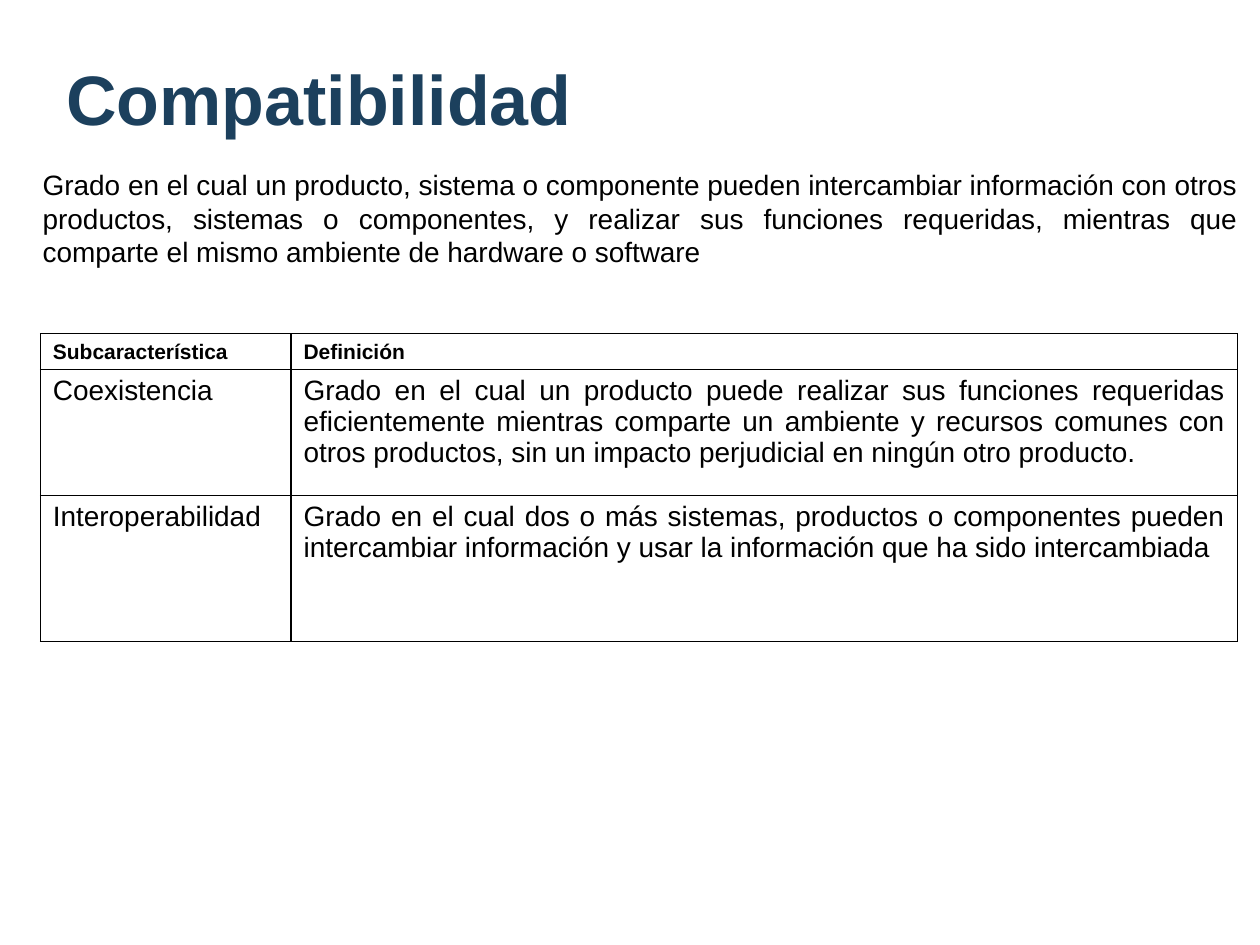
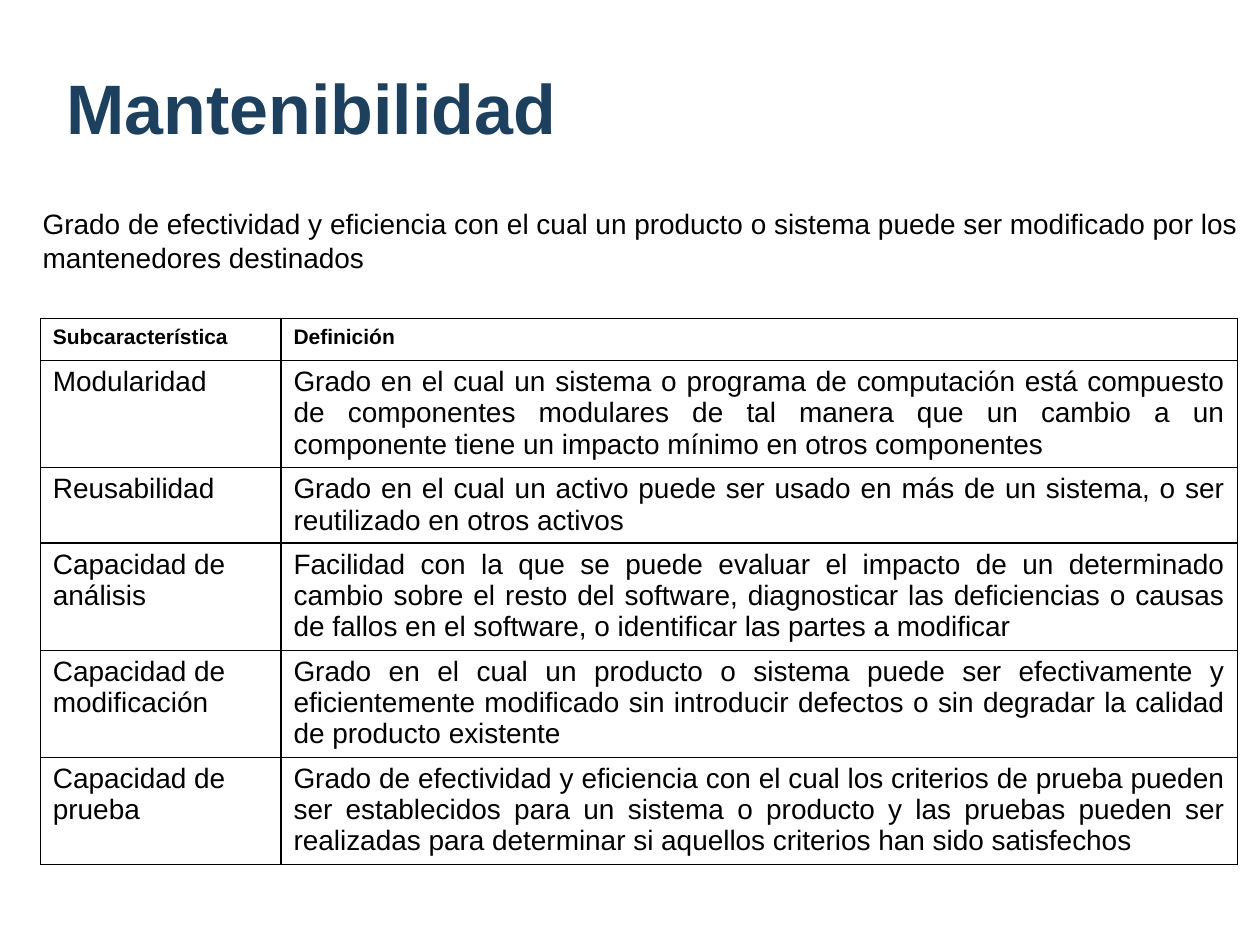
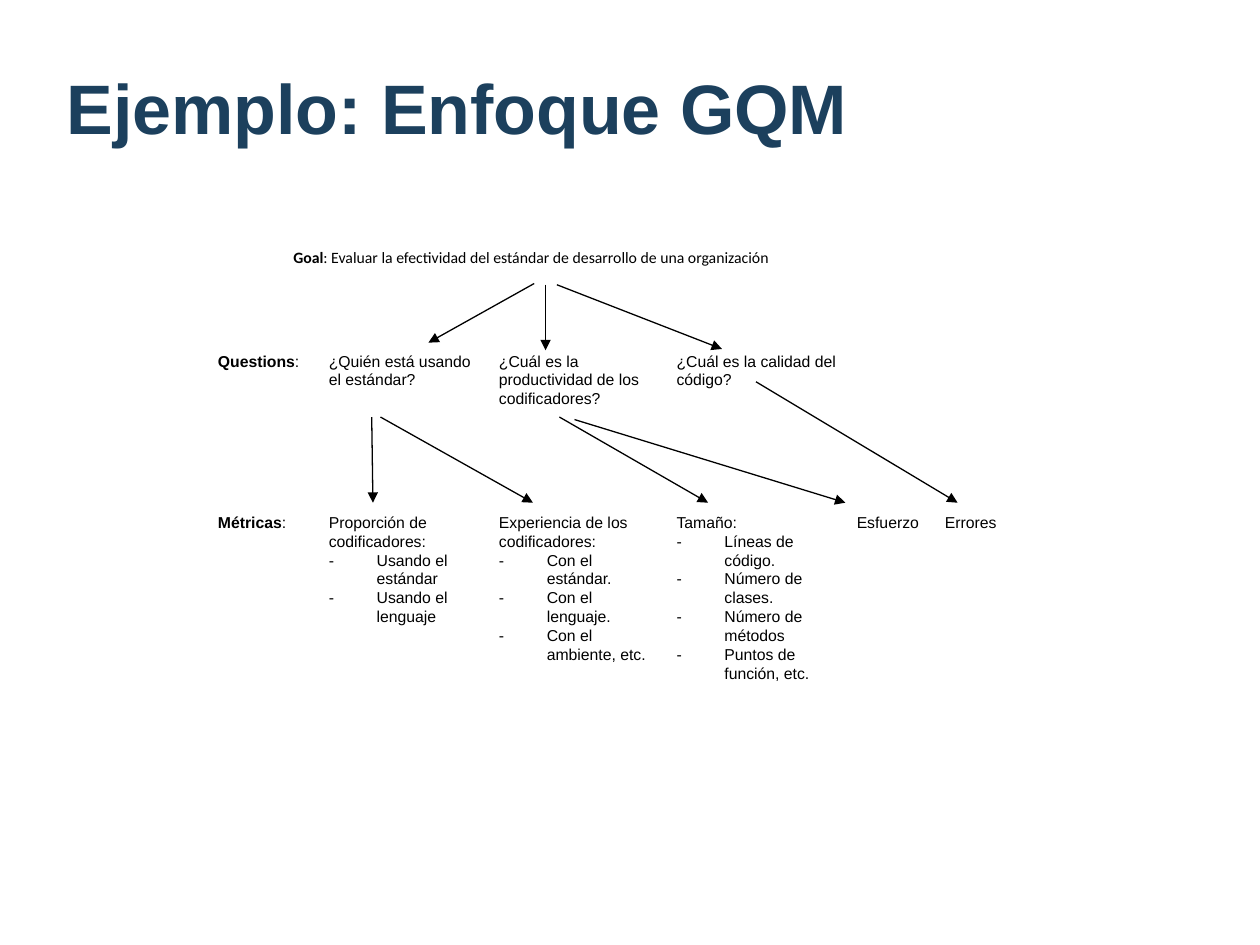
from typing import Any, NamedTuple, Optional

from lxml import etree
from pptx import Presentation
from pptx.dml.color import RGBColor
from pptx.enum import shapes, text
from pptx.oxml import ns
from pptx.util import Inches, Pt

BLACK = "000000"
NAVY = "1C405D"
LEFT = text.PP_ALIGN.LEFT
JUSTIFY = text.PP_ALIGN.JUSTIFY
TOP = text.MSO_ANCHOR.TOP


class Style(NamedTuple):
    size: float
    bold: bool = False
    font: str = "Arial"
    color: str = BLACK
    align: Any = LEFT
    spacing: float = 1.0


TITLE = Style(40, bold=True, color=NAVY)
BODY = Style(16, align=JUSTIFY)
HEADER = Style(12, bold=True)
TERM = Style(16)
GOAL = Style(9, font="Calibri")
GQM = Style(9, spacing=1.07)


class Para(NamedTuple):
    body: str
    lead: str = ""
    bullet: bool = False


class Box(NamedTuple):
    x: float
    y: float
    w: float
    h: float


class Margins(NamedTuple):
    x: float
    top: float
    bottom: float


class Arrow(NamedTuple):
    x1: float
    y1: float
    x2: float
    y2: float


class Characteristic(NamedTuple):
    title: str
    title_height: float
    intro: str
    intro_box: Box
    table_top: float
    term_width: float
    row_heights: list[float]
    definitions: list[tuple[str, str]]


TEXT_MARGINS = Margins(0.1, 0.05, 0.05)
TITLE_MARGINS = Margins(0.1, 0.1, 0.1)
CELL_MARGINS = Margins(0.1, 0.05, 0)
GQM_MARGINS = Margins(0.08, 0, 0)
TABLE_LEFT = 0.32
TABLE_WIDTH = 9.5


def rgb(color: str) -> RGBColor:
    return RGBColor.from_string(color)


def set_all(target: Any, values: dict[str, Any]) -> None:
    for name, value in values.items():
        setattr(target, name, value)


def child(parent: Any, tag: str, **attrs: str) -> Any:
    return etree.SubElement(parent, ns.qn(tag), attrs)


def set_margins(target: Any, margins: Margins) -> None:
    set_all(target, {
        "margin_left": Inches(margins.x), "margin_right": Inches(margins.x),
        "margin_top": Inches(margins.top), "margin_bottom": Inches(margins.bottom),
    })


def add_bullet(p: Any, font: str) -> None:
    pPr = p._p.get_or_add_pPr()
    indent = Inches(0.38)
    pPr.set("marL", str(indent))
    pPr.set("indent", str(-indent))
    child(child(pPr, "a:buClr"), "a:srgbClr", val=BLACK)
    child(pPr, "a:buFont", typeface=font)
    child(pPr, "a:buChar", char="-")


def write(tf: Any, paras: list[Para], style: Style) -> None:
    for i, para in enumerate(paras):
        p = tf.add_paragraph() if i else tf.paragraphs[0]
        if para.bullet:
            add_bullet(p, style.font)
        set_all(p, {"alignment": style.align, "line_spacing": style.spacing})
        face = {"size": Pt(style.size), "name": style.font}
        set_all(p.font, face)
        for words, bold in ((para.lead, True), (para.body, style.bold)):
            if words:
                r = p.add_run()
                r.text = words
                set_all(r.font, {**face, "bold": bold})
                r.font.color.rgb = rgb(style.color)


def add_text(s: Any, box: Box, para: Para, style: Style,
             margins: Margins = TEXT_MARGINS, anchor: Any = TOP) -> None:
    tf = s.shapes.add_textbox(*map(Inches, box)).text_frame
    set_all(tf, {"word_wrap": True, "vertical_anchor": anchor})
    set_margins(tf, margins)
    write(tf, [para], style)


def add_title(s: Any, title: str, height: float = 1.07) -> None:
    add_text(s, Box(0.43, 0.21, 9, height), Para(title), TITLE,
             TITLE_MARGINS, text.MSO_ANCHOR.BOTTOM)


def set_borders(cell: Any, color: Optional[str]) -> None:
    tcPr = cell._tc.get_or_add_tcPr()
    for side in ("L", "R", "T", "B"):
        ln = child(tcPr, f"a:ln{side}", w=str(Pt(0.75)))
        if color:
            child(child(ln, "a:solidFill"), "a:srgbClr", val=color)
        else:
            child(ln, "a:noFill")


def add_grid(s: Any, x: float, y: float, widths: list[float], heights: list[float],
             margins: Margins, border: Optional[str]) -> Any:
    box = Box(x, y, sum(widths), sum(heights))
    table = s.shapes.add_table(len(heights), len(widths), *map(Inches, box)).table
    set_all(table, {"first_row": False, "horz_banding": False})
    for column, width in zip(table.columns, widths):
        column.width = Inches(width)
    for row, height in zip(table.rows, heights):
        row.height = Inches(height)
    for cell in table.iter_cells():
        set_margins(cell, margins)
        set_borders(cell, border)
        cell.fill.background()
    return table


def add_arrow(s: Any, arrow: Arrow) -> None:
    sp = s.shapes.add_connector(shapes.MSO_CONNECTOR.STRAIGHT, *map(Inches, arrow))
    sp.line.width = Pt(0.75)
    sp.line.color.rgb = rgb(BLACK)
    child(sp.line._get_or_add_ln(), "a:tailEnd", type="triangle")
    child(sp._element.spPr, "a:effectLst")


def add_characteristic(s: Any, c: Characteristic) -> None:
    add_title(s, c.title, c.title_height)
    widths = [c.term_width, TABLE_WIDTH - c.term_width]
    table = add_grid(s, TABLE_LEFT, c.table_top, widths, c.row_heights, CELL_MARGINS, BLACK)
    rows = [("Subcaracterística", "Definición"), *c.definitions]
    for i, row in enumerate(rows):
        styles = (TERM, BODY) if i else (HEADER, HEADER)
        for j, (words, style) in enumerate(zip(row, styles)):
            write(table.cell(i, j).text_frame, [Para(words)], style)
    add_text(s, c.intro_box, Para(c.intro), BODY)


def metric(heading: str, *items: str) -> list[Para]:
    return [Para(heading), *(Para(item, bullet=True) for item in items)]


CHARACTERISTICS = [
    Characteristic(
        "Compatibilidad", 1,
        "Grado en el cual un producto, sistema o componente pueden intercambiar información "
        "con otros productos, sistemas o componentes, y realizar sus funciones requeridas, "
        "mientras que comparte el mismo ambiente de hardware o software",
        Box(0.24, 1.28, 9.68, 0.91), 2.65, 1.99, [0.28, 1, 1.16],
        [
            ("Coexistencia",
             "Grado en el cual un producto puede realizar sus funciones requeridas "
             "eficientemente mientras comparte un ambiente y recursos comunes con otros "
             "productos, sin un impacto perjudicial en ningún otro producto."),
            ("Interoperabilidad",
             "Grado en el cual dos o más sistemas, productos o componentes pueden "
             "intercambiar información y usar la información que ha sido intercambiada"),
        ],
    ),
    Characteristic(
        "Mantenibilidad", 1.07,
        "Grado de efectividad y eficiencia con el cual un producto o sistema puede ser "
        "modificado por los mantenedores destinados",
        Box(0.24, 1.59, 9.68, 0.64), 2.53, 1.91, [0.33, 0.84, 0.6, 0.84, 0.84, 0.84],
        [
            ("Modularidad",
             "Grado en el cual un sistema o programa de computación está compuesto de "
             "componentes modulares de tal manera que un cambio a un componente tiene un "
             "impacto mínimo en otros componentes"),
            ("Reusabilidad",
             "Grado en el cual un activo puede ser usado en más de un sistema, o ser "
             "reutilizado en otros activos"),
            ("Capacidad de análisis",
             "Facilidad con la que se puede evaluar el impacto de un determinado cambio "
             "sobre el resto del software, diagnosticar las deficiencias o causas de fallos "
             "en el software, o identificar las partes a modificar"),
            ("Capacidad de modificación",
             "Grado en el cual un producto o sistema puede ser efectivamente y "
             "eficientemente modificado sin introducir defectos o sin degradar la calidad "
             "de producto existente"),
            ("Capacidad de prueba",
             "Grado de efectividad y eficiencia con el cual los criterios de prueba pueden "
             "ser establecidos para un sistema o producto y las pruebas pueden ser "
             "realizadas para determinar si aquellos criterios han sido satisfechos"),
        ],
    ),
]

QUESTIONS = [
    [Para(":", lead="Questions")],
    [Para("¿Quién está usando el estándar?")],
    [Para("¿Cuál es la productividad de los codificadores?")],
    [Para("¿Cuál es la calidad del código?")],
]
METRICS = [
    [Para(":", lead="Métricas")],
    metric("Proporción de codificadores:", "Usando el estándar", "Usando el lenguaje"),
    metric("Experiencia de los codificadores:",
           "Con el estándar.", "Con el lenguaje.", "Con el ambiente, etc."),
    metric("Tamaño:", "Líneas de código.", "Número de clases.",
           "Número de métodos", "Puntos de función, etc."),
    metric("Esfuerzo"),
    metric("Errores"),
]
ARROWS = [
    Arrow(4.24, 2.25, 3.4, 2.72),
    Arrow(4.33, 2.26, 4.33, 2.78),
    Arrow(4.42, 2.26, 5.73, 2.77),
    Arrow(2.95, 3.31, 2.96, 3.99),
    Arrow(3.02, 3.31, 4.23, 3.99),
    Arrow(4.44, 3.31, 5.62, 3.99),
    Arrow(4.56, 3.33, 6.71, 3.99),
    Arrow(6, 3.03, 7.6, 3.99),
]


def add_gqm(s: Any) -> None:
    add_title(s, "Ejemplo: Enfoque GQM")
    widths = [0.88, 1.35, 1.41, 1.43, 0.7, 0.6]
    table = add_grid(s, 1.65, 2.79, widths, [1.28, 1.44], GQM_MARGINS, None)
    for i, row in enumerate((QUESTIONS, METRICS)):
        for j, paras in enumerate(row):
            write(table.cell(i, j).text_frame, paras, GQM)
    for arrow in ARROWS:
        add_arrow(s, arrow)
    goal = ": Evaluar la efectividad del estándar de desarrollo de una organización"
    add_text(s, Box(2.23, 1.92, 4.03, 0.56), Para(goal, lead="Goal"), GOAL)


def main() -> None:
    prs = Presentation()
    set_all(prs, {"slide_width": Inches(10), "slide_height": Inches(7.5)})
    blank = prs.slide_layouts[6]
    for characteristic in CHARACTERISTICS:
        add_characteristic(prs.slides.add_slide(blank), characteristic)
    add_gqm(prs.slides.add_slide(blank))
    prs.save("out.pptx")


if __name__ == "__main__":
    main()
